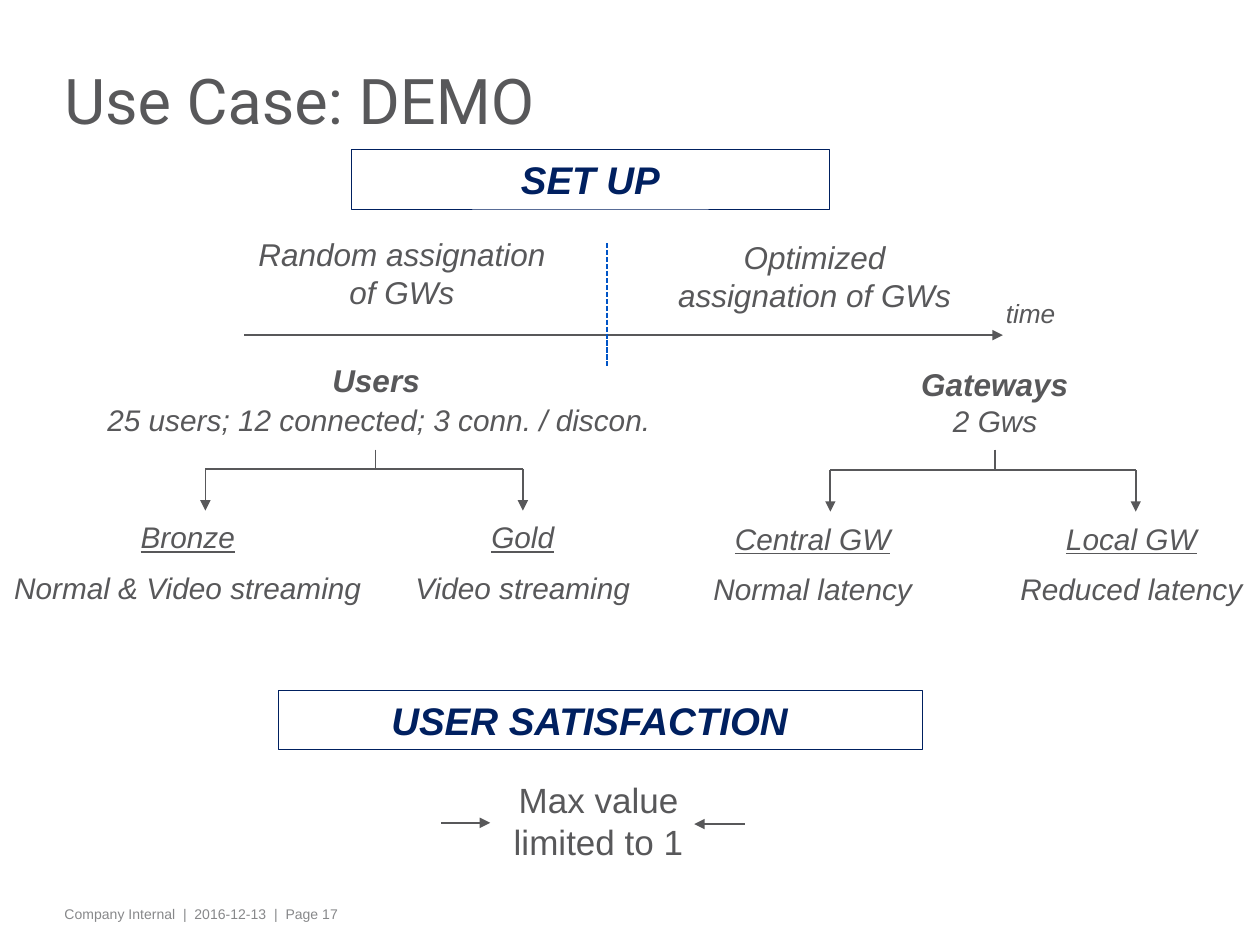
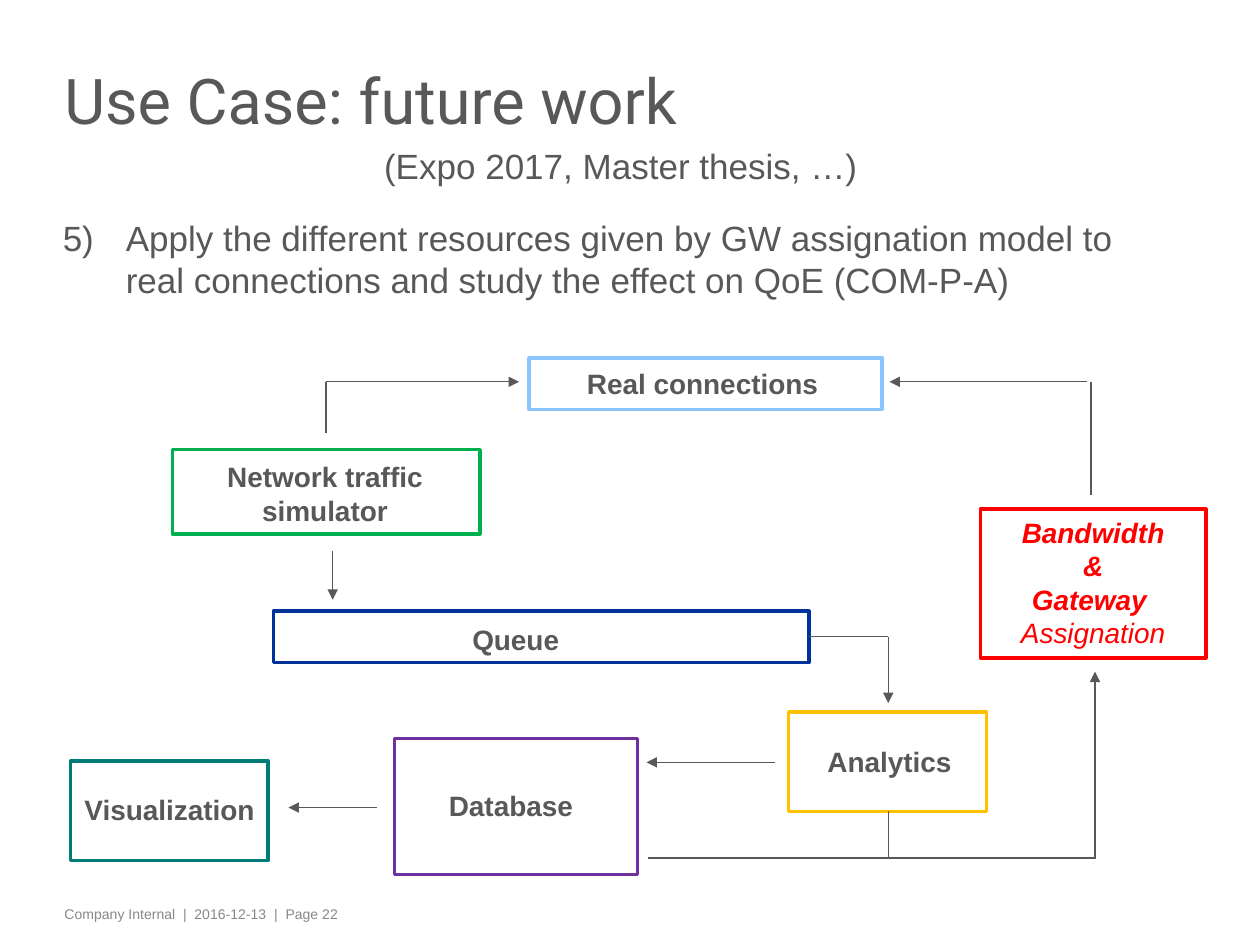
import dataclasses

import lxml.etree
import pptx
import pptx.dml.color
import pptx.enum.dml
import pptx.enum.shapes
import pptx.enum.text
import pptx.oxml.ns
import pptx.util

Pt = pptx.util.Pt
qn = pptx.oxml.ns.qn
Align = pptx.enum.text.PP_ALIGN
Anchor = pptx.enum.text.MSO_ANCHOR
AutoSize = pptx.enum.text.MSO_AUTO_SIZE


@dataclasses.dataclass(frozen=True)
class Theme:
    text: str = "58585A"
    footer: str = "87888A"
    white: str = "FFFFFF"
    banner: str = "002060"
    divider: str = "0054C6"
    simulator: str = "00B050"
    broker: str = "003399"
    analytics: str = "FFC000"
    database: str = "7030A0"
    assignment: str = "FF0000"
    visualization: str = "007B78"
    connections: str = "8BC5FF"
    title_font: str = "Roboto"
    body_font: str = "Arial"
    title_size: float = 36
    banner_size: float = 22
    body_size: float = 20
    heading_size: float = 18
    detail_size: float = 17
    label_size: float = 16
    axis_size: float = 15
    footer_size: float = 8


THEME = Theme()


def color_of(value):
    return pptx.dml.color.RGBColor.from_string(value)


class SlideBuilder:
    def __init__(self, deck, theme):
        self.deck = deck
        self.theme = theme
        self.page = None

    def start(self, title, number):
        self.page = self.deck.slides.add_slide(self.deck.slide_layouts[6])
        theme = self.theme
        self.text(31, 514.1, 582.5, 17.3,
                  [f"Company Internal  |  2016-12-13  |  Page {number}"],
                  theme.footer_size, color=theme.footer, align=Align.LEFT,
                  frame={"margin_left": Pt(5.8), "margin_right": Pt(5.8)})
        self.text(31, 18.7, 590.4, 85.7, [title], theme.title_size,
                  font=theme.title_font, align=Align.LEFT, line_spacing=0.75,
                  frame={"margin_left": Pt(5.8), "margin_right": Pt(5.8),
                         "margin_top": 0, "margin_bottom": 0,
                         "vertical_anchor": Anchor.MIDDLE,
                         "auto_size": AutoSize.NONE})

    def fill_text(self, box, lines, size, color=None, font=None, align=Align.CENTER,
                  gap=0, line_spacing=None, frame=None, styles=None, **style):
        text_frame = box.text_frame
        layout = {"word_wrap": True, "vertical_anchor": Anchor.TOP,
                  "auto_size": AutoSize.SHAPE_TO_FIT_TEXT}
        for name, value in {**layout, **(frame or {})}.items():
            setattr(text_frame, name, value)
        for index, line in enumerate(lines):
            para = text_frame.add_paragraph() if index else text_frame.paragraphs[0]
            para.alignment = align
            para.line_spacing = line_spacing
            if index and gap:
                para.space_before = Pt(gap)
            span = para.add_run()
            span.text = line
            span.font.color.rgb = color_of(color or self.theme.text)
            formats = {"name": font or self.theme.body_font, "size": Pt(size)}
            formats.update(style)
            if styles:
                formats.update(styles[index])
            for name, value in formats.items():
                setattr(span.font, name, value)

    def text(self, left, top, width, height, lines, size, **options):
        box = self.page.shapes.add_textbox(Pt(left), Pt(top), Pt(width), Pt(height))
        self.fill_text(box, lines, size, **options)
        return box

    def numbered(self, left, top, width, height, line, size, number):
        box = self.text(left, top, width, height, [line], size, align=Align.LEFT)
        properties = box.text_frame.paragraphs[0]._p.get_or_add_pPr()
        for name, value in {"marL": Pt(36), "indent": -Pt(36)}.items():
            properties.set(name, str(int(value)))
        lxml.etree.SubElement(properties, qn("a:buFont"), typeface=self.theme.body_font)
        lxml.etree.SubElement(properties, qn("a:buAutoNum"),
                              type="arabicParenR", startAt=str(number))

    def frame(self, left, top, width, height, color, weight=2, fill=None):
        box = self.page.shapes.add_shape(pptx.enum.shapes.MSO_SHAPE.RECTANGLE,
                                         Pt(left), Pt(top), Pt(width), Pt(height))
        box.shadow.inherit = False
        if fill:
            box.fill.solid()
            box.fill.fore_color.rgb = color_of(fill)
        else:
            box.fill.background()
        box.line.color.rgb = color_of(color)
        box.line.width = Pt(weight)
        return box

    def banner(self, left, top, width, caption, right_margin=7.2):
        box = self.frame(left, top, width, 33.8, self.theme.banner, weight=0.5)
        self.fill_text(box, [caption], self.theme.banner_size,
                       color=self.theme.banner, bold=True, italic=True,
                       frame={"margin_right": Pt(right_margin)})

    def node(self, area, color, label_area, caption, align=Align.CENTER):
        self.frame(*area, color, fill=self.theme.white)
        self.text(*label_area, [caption], self.theme.label_size,
                  align=align, bold=True)

    def line(self, start, end, weight=1, arrow=False, color=None, dash=None):
        connector = self.page.shapes.add_connector(
            pptx.enum.shapes.MSO_CONNECTOR.STRAIGHT,
            Pt(start[0]), Pt(start[1]), Pt(end[0]), Pt(end[1]))
        connector.line.color.rgb = color_of(color or self.theme.text)
        connector.line.width = Pt(weight)
        if dash:
            connector.line.dash_style = dash
        properties = connector.element.spPr
        if arrow:
            lxml.etree.SubElement(properties.find(qn("a:ln")), qn("a:tailEnd"),
                                  type="triangle")
        lxml.etree.SubElement(properties, qn("a:effectLst"))

    def branch(self, stem, left, right, top):
        self.line((stem, 257), (stem, top))
        self.line((right, top), (left, top))
        for x in (right, left):
            self.line((x, top), (x, top + 23.8), arrow=True)

    def leaf(self, left, top, width, caption, detail):
        self.text(left, top, width, 59, [caption, detail], self.theme.detail_size,
                  gap=8.5, italic=True, styles=[{"underline": True}, {}])


def build_demo(builder):
    theme = builder.theme
    builder.start("Use Case: DEMO", 17)
    builder.banner(200.9, 85.7, 272.9, "SET UP")
    builder.banner(159.1, 394.6, 367.9, "USER SATISFACTION", right_margin=19.4)

    builder.line((252, 470.2), (280.1, 470.2), arrow=True)
    builder.line((425.5, 470.9), (396.7, 470.9), arrow=True)
    builder.text(274.3, 441.4, 135.4, 55.4, ["Max value limited to 1"], theme.body_size)

    builder.line((139.7, 191.5), (573.1, 191.5), arrow=True)
    builder.line((347, 139), (347, 209.5), color=theme.divider,
                 dash=pptx.enum.dml.MSO_LINE.SQUARE_DOT)
    for left, top, width, caption in (
            (139.7, 131, 180, "Random assignation of GWs"),
            (380.2, 132.5, 170.6, "Optimized assignation of GWs")):
        builder.text(left, top, width, 51.1, [caption], theme.heading_size, italic=True)
    builder.text(562.3, 166.3, 53.3, 25.2, ["time"], theme.axis_size, italic=True)

    for left, top, width, caption in ((167, 203, 95.8, "Users"),
                                      (516.2, 205.2, 104.4, "Gateways")):
        builder.text(left, top, width, 28.8, [caption], theme.heading_size,
                     bold=True, italic=True)
    for left, top, width, caption in (
            (18.7, 226.1, 396, "25 users; 12 connected; 3 conn. / discon."),
            (534.2, 226.8, 69.1, "2 Gws")):
        builder.text(left, top, width, 28.1, [caption], theme.detail_size, italic=True)

    builder.branch(214.6, 117.4, 298.8, 268)
    builder.branch(568.8, 474.5, 649, 268.6)
    for leaf in ((0, 293, 214.6, "Bronze", "Normal & Video streaming"),
                 (203, 293, 191.5, "Gold", "Video streaming"),
                 (357.1, 293.8, 214.6, "Central GW", "Normal latency"),
                 (573.1, 293.8, 146.9, "Local GW", "Reduced latency")):
        builder.leaf(*leaf)


def build_future_work(builder):
    theme = builder.theme
    builder.start("Use Case: future work", 22)
    builder.numbered(28.8, 120.2, 630.7, 55.4,
                     "Apply the different resources given by GW assignation model to "
                     "real connections and study the effect on QoE (COM-P-A)",
                     theme.body_size, 5)
    builder.text(212.4, 79.2, 319.7, 31.7, ["(Expo 2017, Master thesis, …)"],
                 theme.body_size, align=Align.LEFT)

    nodes = (
        ((98.6, 257, 175.7, 48.2), theme.simulator,
         (91.4, 259.2, 188.6, 46.1), "Network traffic simulator", Align.CENTER),
        ((156.2, 349.2, 306, 29.5), theme.broker,
         (262.8, 352.1, 67.7, 26.6), "Queue", Align.LEFT),
        ((450.7, 406.8, 113, 56.9), theme.analytics,
         (465.8, 421.9, 88.6, 26.6), "Analytics", Align.LEFT),
        ((225.4, 421.9, 139, 77.8), theme.database,
         (229.7, 447.1, 124.6, 26.6), "Database", Align.CENTER),
        ((40.3, 434.9, 113, 56.9), theme.visualization,
         (34.6, 449.3, 124.6, 26.6), "Visualization", Align.CENTER),
        ((302.4, 204.5, 201.6, 29.5), theme.connections,
         (328.3, 205.9, 147.6, 26.6), "Real connections", Align.LEFT),
    )
    for node in nodes:
        builder.node(*node)

    assignment = builder.frame(560.2, 290.9, 128.9, 85, theme.assignment)
    builder.fill_text(assignment, ["Bandwidth", "&", "Gateway ", "Assignation"],
                      theme.label_size, color=theme.assignment, italic=True,
                      styles=[{"bold": True}] * 3 + [{"bold": False}])

    arrows = (
        ((190.1, 314.6), (190.1, 342.7)),
        ((507.6, 364.3), (507.6, 401.8)),
        ((442.8, 435.6), (369.4, 435.6)),
        ((625.7, 491), (625.7, 383.8)),
        ((215.3, 461.5), (164.9, 461.5)),
        ((186.5, 218.2), (296.6, 218.2)),
        ((621.4, 218.2), (508.3, 218.2)),
    )
    for start, end in arrows:
        builder.line(start, end, weight=0.75, arrow=True)
    for start, end, weight in (
            ((462.2, 363.6), (507.6, 363.6), 0.75),
            ((370.1, 490.3), (625.7, 490.3), 0.75),
            ((507.6, 463.7), (507.6, 489.6), 0.75),
            ((186.5, 218.2), (186.5, 247.7), 1),
            ((623.5, 218.2), (623.5, 283), 1)):
        builder.line(start, end, weight=weight)


def main():
    deck = pptx.Presentation()
    deck.slide_width = Pt(720)
    deck.slide_height = Pt(540)
    builder = SlideBuilder(deck, THEME)
    build_demo(builder)
    build_future_work(builder)
    deck.save("out.pptx")


main()
